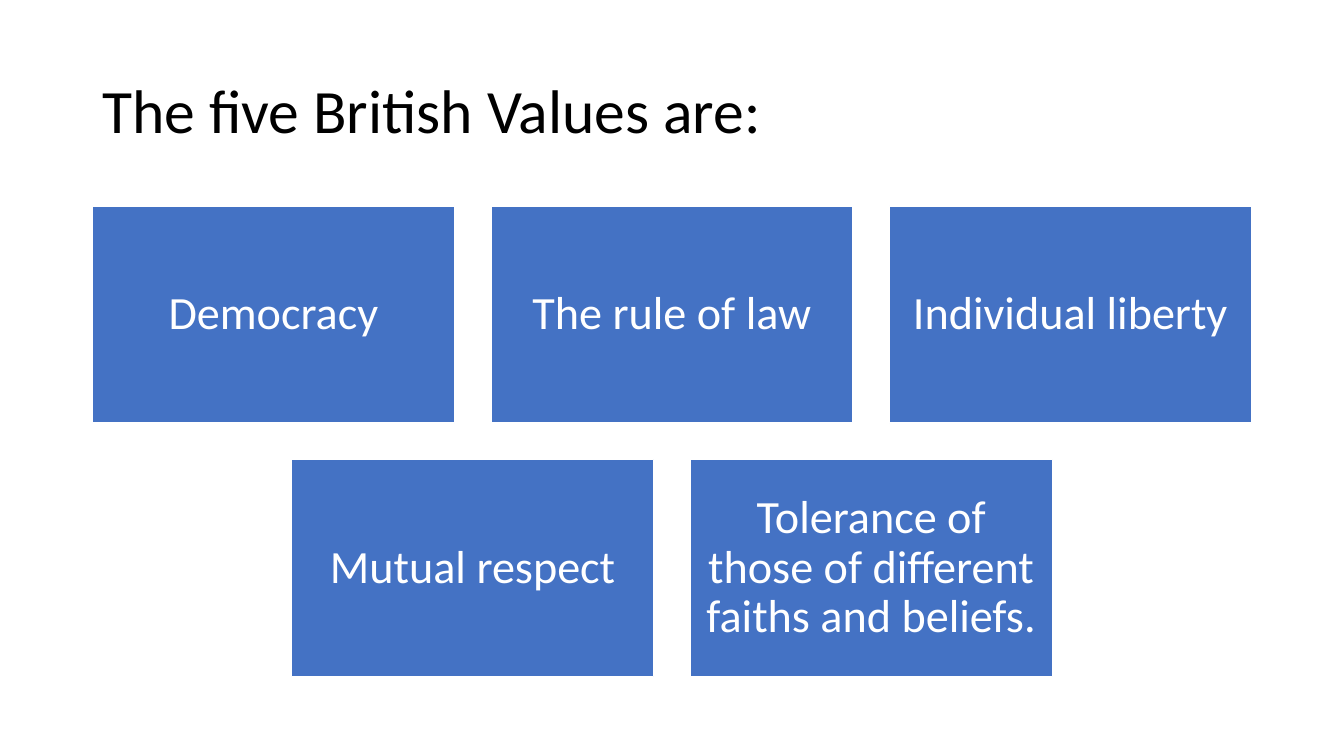
from pptx import Presentation
from pptx.dml.color import RGBColor
from pptx.enum import shapes, text
from pptx.util import Pt

HEADING = "The five British Values are:"
VALUE_ROWS = [
    ["Democracy", "The rule of law", "Individual liberty"],
    ["Mutual respect", "Tolerance of those of different faiths and beliefs."],
]
FONT = "Calibri"
BLACK, WHITE, BLUE = "000000", "FFFFFF", "4472C4"

SLIDE_WIDTH, SLIDE_HEIGHT = 960, 540
CARD_WIDTH, CARD_HEIGHT, GAP = 258.75, 155.25, 25.88
ROWS_TOP = 147


def paint(color_format, hex_color):
    color_format.rgb = RGBColor.from_string(hex_color)


def write(part, wording, size, color, align, inset_x, inset_y):
    frame = part.text_frame
    frame.word_wrap = True
    frame.vertical_anchor = text.MSO_ANCHOR.MIDDLE
    frame.margin_left = frame.margin_right = Pt(inset_x)
    frame.margin_top = frame.margin_bottom = Pt(inset_y)
    paragraph = frame.paragraphs[0]
    paragraph.alignment = align
    paragraph.line_spacing = 0.9
    run = paragraph.add_run()
    run.text = wording
    run.font.name = FONT
    run.font.size = Pt(size)
    paint(run.font.color, color)


def add_card(slide, value, left, top):
    card = slide.shapes.add_shape(
        shapes.MSO_SHAPE.RECTANGLE, Pt(left), Pt(top), Pt(CARD_WIDTH), Pt(CARD_HEIGHT))
    card.shadow.inherit = False
    card.fill.solid()
    paint(card.fill.fore_color, BLUE)
    paint(card.line.color, WHITE)
    card.line.width = Pt(1)
    write(card, value, 33, WHITE, text.PP_ALIGN.CENTER, 9.9, 9.9)


deck = Presentation()
deck.slide_width, deck.slide_height = Pt(SLIDE_WIDTH), Pt(SLIDE_HEIGHT)
slide = deck.slides.add_slide(deck.slide_layouts[6])

heading = slide.shapes.add_textbox(Pt(66), Pt(28.75), Pt(828), Pt(104.4))
write(heading, HEADING, 44, BLACK, text.PP_ALIGN.LEFT, 7.2, 3.6)

for row, values in enumerate(VALUE_ROWS):
    row_width = len(values) * (CARD_WIDTH + GAP) - GAP
    row_left = (SLIDE_WIDTH - row_width) / 2
    for column, value in enumerate(values):
        add_card(slide, value,
                 row_left + column * (CARD_WIDTH + GAP),
                 ROWS_TOP + row * (CARD_HEIGHT + GAP))

deck.save("out.pptx")
